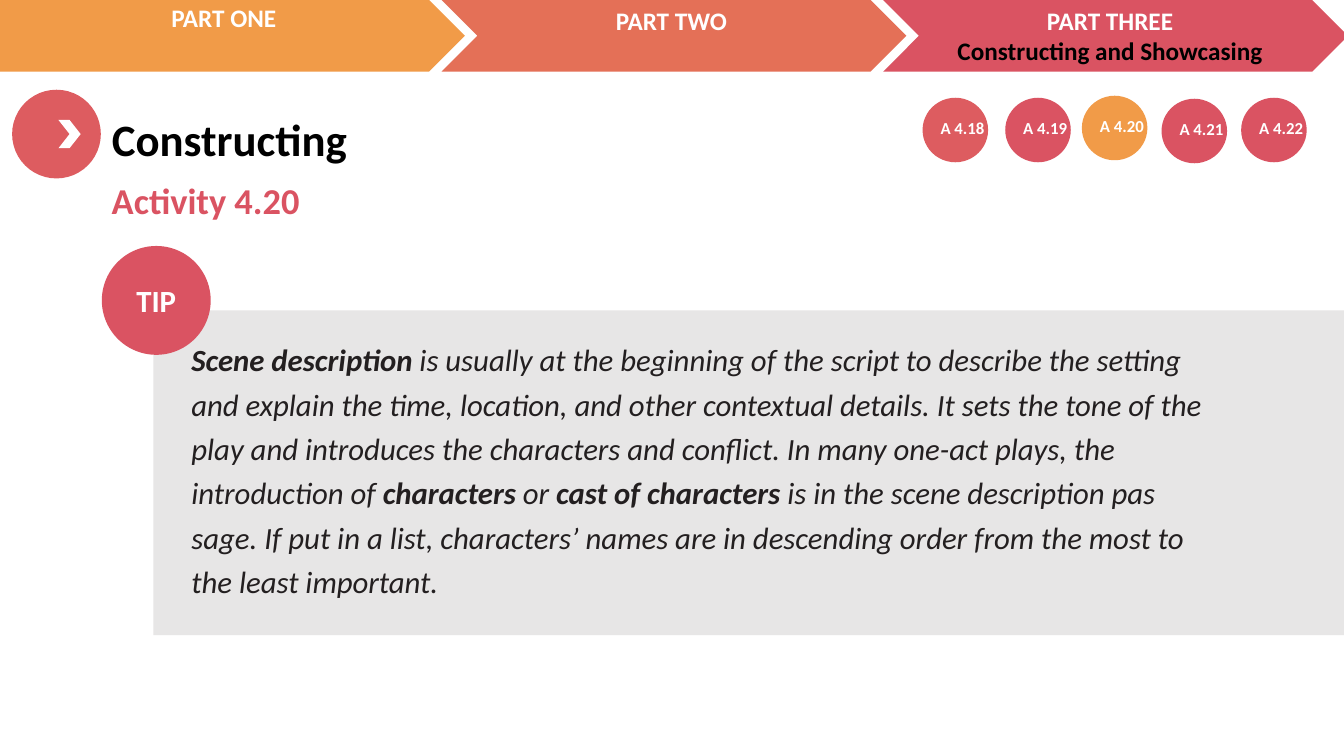
from typing import NamedTuple

from pptx import Presentation
from pptx.dml.color import RGBColor
from pptx.enum.shapes import MSO_SHAPE
from pptx.enum.text import MSO_ANCHOR, MSO_AUTO_SIZE, PP_ALIGN
from pptx.util import Pt

PX = 9144  # EMU per px, at 100 px to the inch
SLIDE_W, SLIDE_H = 1333, 750
TITLE_ONLY = 5
FONT = "Calibri"

CHEVRON, OVAL, RECTANGLE = MSO_SHAPE.CHEVRON, MSO_SHAPE.OVAL, MSO_SHAPE.RECTANGLE
LEFT, CENTER = PP_ALIGN.LEFT, PP_ALIGN.CENTER
TOP, MIDDLE = MSO_ANCHOR.TOP, MSO_ANCHOR.MIDDLE
NO_AUTOFIT = MSO_AUTO_SIZE.NONE

WHITE = RGBColor(0xFF, 0xFF, 0xFF)
BLACK = RGBColor(0x00, 0x00, 0x00)
INK = RGBColor(0x23, 0x1F, 0x20)
GREY = RGBColor(0xE7, 0xE6, 0xE6)
ORANGE = RGBColor(0xF1, 0x9B, 0x48)
CORAL = RGBColor(0xE4, 0x70, 0x57)
RED = RGBColor(0xDA, 0x53, 0x62)
SOFT_RED = RGBColor(0xDD, 0x5C, 0x60)


class Box(NamedTuple):
    x: int
    y: int
    w: int
    h: int


class Part(NamedTuple):
    arrow: Box
    color: RGBColor
    label: Box
    lines: list[tuple[str, RGBColor]]


class Activity(NamedTuple):
    name: str
    x: int
    y: int
    color: RGBColor


class Span(NamedTuple):
    text: str
    bold: bool = False


PARTS = [
    Part(Box(-61, 0, 522, 71), ORANGE, Box(-6, -3, 456, 40),
         [("PART ONE", WHITE)]),
    Part(Box(438, 0, 461, 71), CORAL, Box(438, 0, 456, 71),
         [("PART TWO", WHITE)]),
    Part(Box(876, 0, 461, 71), RED, Box(873, 0, 456, 71),
         [("PART THREE", WHITE), ("Constructing and Showcasing", BLACK)]),
]

ACTIVITIES = [
    Activity("A 4.18", 915, 97, SOFT_RED),
    Activity("A 4.19", 997, 97, RED),
    Activity("A 4.20", 1073, 95, ORANGE),
    Activity("A 4.21", 1152, 98, RED),
    Activity("A 4.22", 1231, 97, RED),
]

TIP = [
    [
        Span("Scene description", bold=True),
        Span(" is usually at the beginning of the script to describe the setting "
             "and explain the time, location, and other contextual details. It sets "
             "the tone of the play and introduces the characters and conflict. In "
             "many one-act plays, the introduction of "),
        Span("characters", bold=True),
        Span(" or "),
        Span("cast of characters", bold=True),
        Span(" is in the scene description pas"),
    ],
    [Span("sage. If put in a list, characters’ names are in descending order from "
          "the most to the least important.")],
]


def place(sp, box: Box) -> None:
    sp.left, sp.top, sp.width, sp.height = (v * PX for v in box)


def add_shape(slide, kind, box: Box, color: RGBColor):
    sp = slide.shapes.add_shape(kind, *(v * PX for v in box))
    sp.shadow.inherit = False
    sp.fill.solid()
    sp.fill.fore_color.rgb = color
    sp.line.fill.background()
    return sp


def add_text_box(slide, box: Box):
    tf = slide.shapes.add_textbox(*(v * PX for v in box)).text_frame
    tf.word_wrap = True
    return tf


def format_paragraph(p, size: int, color: RGBColor, align=LEFT,
                     bold: bool = True) -> None:
    p.alignment = align
    p.font.name = FONT
    p.font.size = Pt(size)
    p.font.bold = bold
    p.font.color.rgb = color


def paragraph_at(tf, index: int):
    return tf.add_paragraph() if index else tf.paragraphs[0]


def add_part(slide, part: Part) -> None:
    add_shape(slide, CHEVRON, part.arrow, part.color)
    tf = add_text_box(slide, part.label)
    for i, (text, color) in enumerate(part.lines):
        p = paragraph_at(tf, i)
        p.text = text
        format_paragraph(p, 18, color, CENTER)


def add_activity(slide, activity: Activity) -> None:
    x, y = activity.x, activity.y
    add_shape(slide, OVAL, Box(x, y, 65, 64), activity.color)
    p = add_text_box(slide, Box(x + 8, y + 15, 79, 30)).paragraphs[0]
    p.text = activity.name
    format_paragraph(p, 12, WHITE)


def add_heading(slide) -> None:
    add_shape(slide, OVAL, Box(12, 89, 88, 88), SOFT_RED)
    add_shape(slide, CHEVRON, Box(58, 119, 22, 28), WHITE)

    title = slide.shapes.title
    place(title, Box(101, 106, 485, 64))
    tf = title.text_frame
    tf.text = "Constructing"
    tf.auto_size = NO_AUTOFIT
    tf.vertical_anchor = TOP
    format_paragraph(tf.paragraphs[0], 32, BLACK)

    p = add_text_box(slide, Box(101, 172, 1191, 54)).paragraphs[0]
    p.text = "Activity 4.20"
    format_paragraph(p, 26, RED)


def add_tip(slide) -> None:
    left = 152
    add_shape(slide, RECTANGLE, Box(left, 308, SLIDE_W - left, 322), GREY)
    tf = add_text_box(slide, Box(180, 326, 1026, 274))
    for i, spans in enumerate(TIP):
        p = paragraph_at(tf, i)
        p.line_spacing = 1.2
        format_paragraph(p, 22, INK, bold=False)
        p.font.italic = True
        for span in spans:
            r = p.add_run()
            r.text = span.text
            if span.bold:
                r.font.bold = True

    badge = add_shape(slide, OVAL, Box(101, 244, 108, 108), RED)
    tf = badge.text_frame
    tf.text = "TIP"
    tf.vertical_anchor = MIDDLE
    format_paragraph(tf.paragraphs[0], 22, WHITE, CENTER)


def main() -> None:
    prs = Presentation()
    prs.slide_width, prs.slide_height = SLIDE_W * PX, SLIDE_H * PX
    slide = prs.slides.add_slide(prs.slide_layouts[TITLE_ONLY])
    for part in PARTS:
        add_part(slide, part)
    add_heading(slide)
    add_tip(slide)
    for activity in ACTIVITIES:
        add_activity(slide, activity)
    prs.save("out.pptx")


if __name__ == "__main__":
    main()
